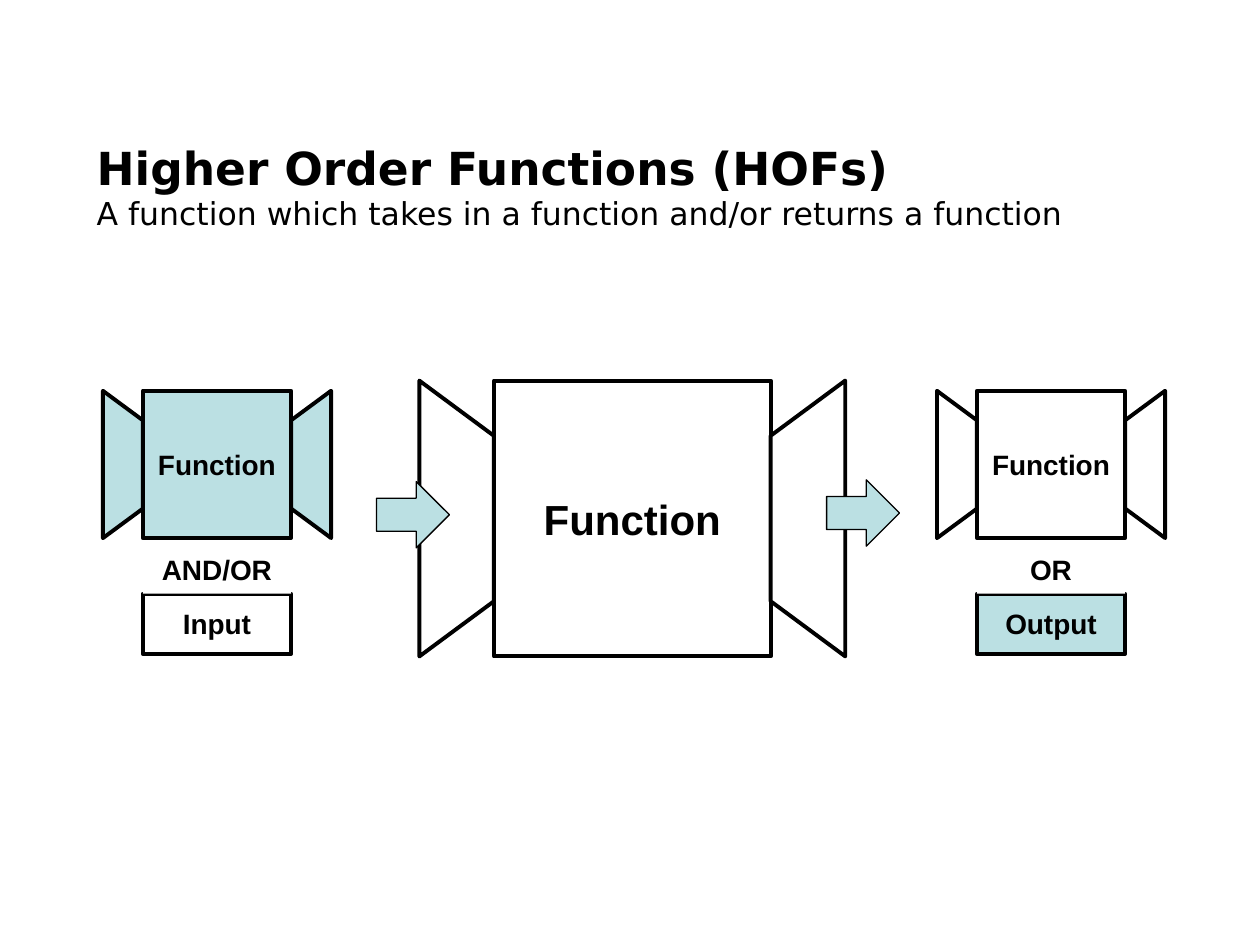
from pptx import Presentation
from pptx.dml.color import RGBColor
from pptx.enum import shapes, text
from pptx.util import Pt

BLACK = RGBColor(0, 0, 0)
WHITE = RGBColor(255, 255, 255)
TEAL = RGBColor(0xBB, 0xE0, 0xE3)
KIND = shapes.MSO_SHAPE


def write(par, words, size, face="Arial", bold=True):
    run = par.add_run()
    run.text = words
    form = {"size": Pt(size), "name": face, "bold": bold}
    for key, val in form.items():
        setattr(run.font, key, val)
    run.font.color.rgb = BLACK


def draw(slide, kind, box, fill, line=2.25, words="", size=16):
    shape = slide.shapes.add_shape(kind, *map(Pt, box))
    shape.shadow.inherit = False
    shape.fill.solid()
    shape.fill.fore_color.rgb = fill
    if line:
        shape.line.color.rgb = BLACK
        shape.line.width = Pt(line)
    else:
        shape.line.fill.background()
    if words:
        frame = shape.text_frame
        form = {"word_wrap": True, "vertical_anchor": text.MSO_ANCHOR.MIDDLE}
        for key, val in form.items():
            setattr(frame, key, val)
        par = frame.paragraphs[0]
        par.alignment = text.PP_ALIGN.CENTER
        write(par, words, size)
    return shape


def title(slide, box):
    frame = slide.shapes.add_textbox(*map(Pt, box)).text_frame
    form = {"word_wrap": True, "vertical_anchor": text.MSO_ANCHOR.MIDDLE}
    for key, val in form.items():
        setattr(frame, key, val)
    par = frame.paragraphs[0]
    write(par, "Higher Order Functions (HOFs)", 26, "DejaVu Sans")
    par.add_line_break()
    write(par, "A function which takes in a function and/or returns a function",
          18, "DejaVu Sans", False)


def machine(slide, box, fill, size):
    x, y, w, h = box
    wing = w * 0.175
    draw(slide, KIND.RECTANGLE, (x + wing, y, w - 2 * wing, h), fill,
         words="Function", size=size)
    for mid, turn in ((x + wing / 2, 270), (x + w - wing / 2, 90)):
        side = (mid - h / 2, y + h / 2 - wing / 2, h, wing)
        draw(slide, KIND.FLOWCHART_MANUAL_OPERATION, side, fill).rotation = turn


def choice(slide, box, fill, join, value, rest):
    x, y, w, h = box
    machine(slide, (x, y, w, 84.2), fill, 16)
    left, wide = x + w * 0.175, w * 0.65
    draw(slide, KIND.RECTANGLE, (left, y + h - 34.5, wide, 34.5), rest,
         words=value)
    draw(slide, KIND.RECTANGLE, (left, y + h - 61.9, wide, 27.4), WHITE, 0,
         words=join)


def main():
    deck = Presentation()
    deck.slide_width, deck.slide_height = Pt(720), Pt(540)
    slide = deck.slides.add_slide(deck.slide_layouts[6])
    title(slide, (48.2, 61.2, 623.5, 90))
    machine(slide, (239.6, 217.5, 243.4, 157.6), WHITE, 24)
    choice(slide, (58.8, 223.3, 130.4, 150.4), TEAL, "AND/OR", "Input", WHITE)
    choice(slide, (535.4, 223.3, 130.4, 150.4), WHITE, "OR", "Output", TEAL)
    for x, y in ((215.2, 275.2), (472.4, 274.2)):
        draw(slide, KIND.RIGHT_ARROW, (x, y, 41.6, 37.9), TEAL, 0.75)
    deck.save("out.pptx")


if __name__ == "__main__":
    main()
